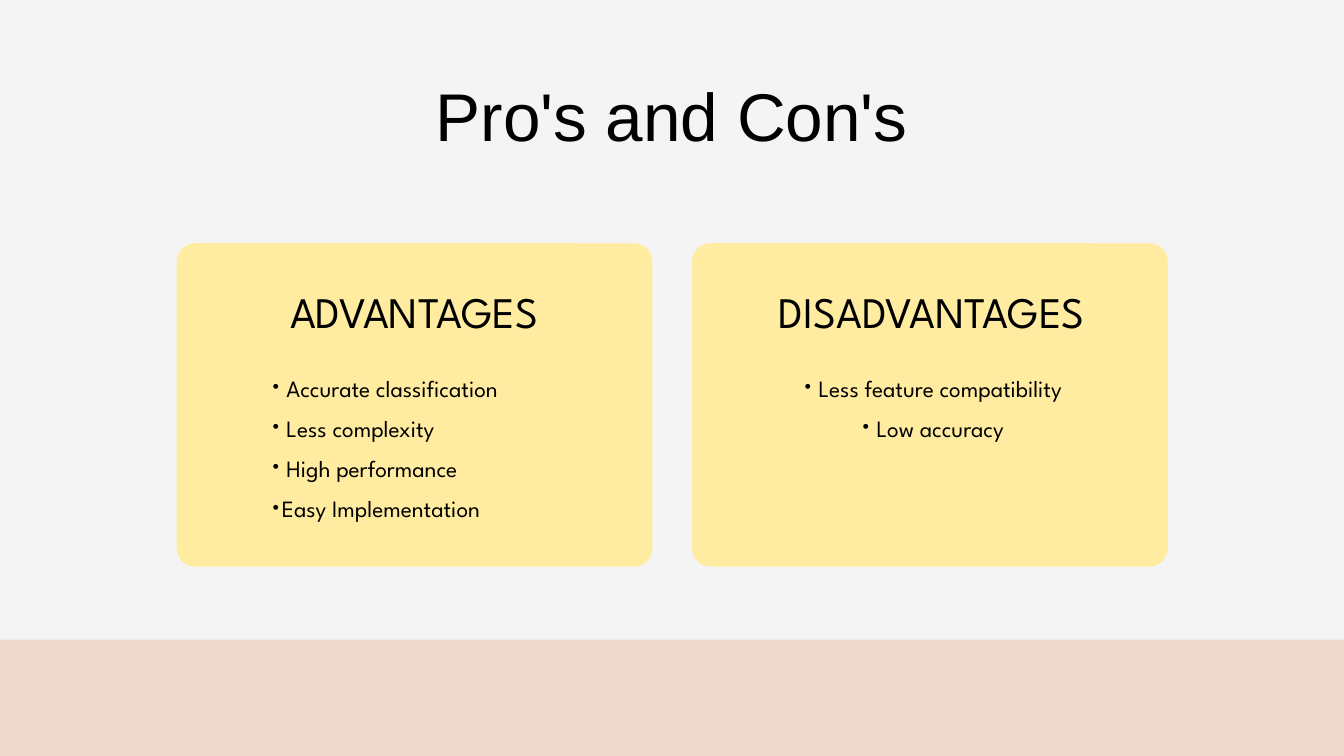
from dataclasses import dataclass

from lxml import etree
from pptx import Presentation
from pptx import util as u
from pptx.dml.color import RGBColor
from pptx.enum import shapes, text
from pptx.oxml import ns

Cm, Pt = u.Cm, u.Pt


@dataclass(frozen=True)
class TextStyle:
    font: str
    size: float
    leading: float


@dataclass(frozen=True)
class Theme:
    background: str = "F4F4F4"
    band: str = "EDD8CD"
    card: str = "FFECA0"
    ink: str = "000000"
    title: TextStyle = TextStyle("Arial", 72.3, 76)
    heading: TextStyle = TextStyle("League Spartan", 46.7, 46.2)
    body: TextStyle = TextStyle("League Spartan", 25, 43.1)


@dataclass(frozen=True)
class Box:
    left: float
    top: float
    width: float
    height: float

    def lengths(self) -> tuple:
        return Cm(self.left), Cm(self.top), Cm(self.width), Cm(self.height)


@dataclass(frozen=True)
class Item:
    words: str
    indent: float = 0.62


@dataclass(frozen=True)
class Card:
    heading: str
    heading_box: Box
    items: tuple
    list_box: Box
    align: text.PP_ALIGN


THEME = Theme()
LEFT, CENTER = text.PP_ALIGN.LEFT, text.PP_ALIGN.CENTER
SLIDE_W, SLIDE_H = 50.8, 28.58
BAND_H = 4.4
CARD_LEFT, CARD_TOP, CARD_W, CARD_H = 6.73, 9.25, 17.88, 12.12
CARD_PITCH = 19.48
CORNER = 0.65
HEADING_TOP, HEADING_H = 11.13, 1.75
LIST_TOP = 13.67

CARDS = (
    Card(
        "ADVANTAGES", Box(9.91, HEADING_TOP, 11.51, HEADING_H),
        (Item("Accurate classification"), Item("Less complexity"),
         Item("High performance"), Item("Easy Implementation", 0.38)),
        Box(10.21, LIST_TOP, 12.14, 7.44), LEFT,
    ),
    Card(
        "DISADVANTAGES", Box(28.3, HEADING_TOP, 13.84, HEADING_H),
        (Item("Less feature compatibility"), Item("Low accuracy")),
        Box(28.52, LIST_TOP, 13.41, 4.44), CENTER,
    ),
)


def rgb(value: str) -> RGBColor:
    return RGBColor.from_string(value)


def add_panel(s, kind, box: Box, color: str):
    sp = s.shapes.add_shape(kind, *box.lengths())
    sp.shadow.inherit = False
    sp.fill.solid()
    sp.fill.fore_color.rgb = rgb(color)
    sp.line.fill.background()
    return sp


def set_bullet(p, indent: float) -> None:
    """Give a paragraph a hanging bullet."""
    pPr = p._p.get_or_add_pPr()
    pPr.set("marL", str(Cm(indent)))
    pPr.set("indent", str(-Cm(indent)))
    font = etree.SubElement(pPr, ns.qn("a:buFont"))
    font.set("typeface", THEME.body.font)
    etree.SubElement(pPr, ns.qn("a:buChar")).set("char", "•")


def add_text(s, box: Box, items: tuple, style: TextStyle,
             align=CENTER, bullets: bool = False) -> None:
    tf = s.shapes.add_textbox(*box.lengths()).text_frame
    frame_format = {
        "margin_left": 0, "margin_top": 0, "margin_right": 0,
        "margin_bottom": 0, "word_wrap": True,
        "auto_size": text.MSO_AUTO_SIZE.SHAPE_TO_FIT_TEXT,
    }
    for name, value in frame_format.items():
        setattr(tf, name, value)
    for i, item in enumerate(items):
        p = tf.add_paragraph() if i else tf.paragraphs[0]
        if bullets:
            set_bullet(p, item.indent)
        p.alignment = align
        p.line_spacing = Pt(style.leading)
        r = p.add_run()
        r.text = item.words
        for name, value in {"name": style.font, "size": Pt(style.size)}.items():
            setattr(r.font, name, value)
        r.font.color.rgb = rgb(THEME.ink)


def add_card(s, index: int, card: Card) -> None:
    box = Box(CARD_LEFT + index * CARD_PITCH, CARD_TOP, CARD_W, CARD_H)
    sp = add_panel(s, shapes.MSO_SHAPE.ROUNDED_RECTANGLE, box, THEME.card)
    sp.adjustments[0] = CORNER / CARD_H
    sp.line.color.rgb = rgb(THEME.card)
    sp.line.width = Pt(3)
    add_text(s, card.heading_box, (Item(card.heading),), THEME.heading)
    add_text(s, card.list_box, card.items, THEME.body, card.align, bullets=True)


def main() -> None:
    prs = Presentation()
    prs.slide_width, prs.slide_height = Cm(SLIDE_W), Cm(SLIDE_H)
    s = prs.slides.add_slide(prs.slide_layouts[6])

    # Background and bottom band
    s.background.fill.solid()
    s.background.fill.fore_color.rgb = rgb(THEME.background)
    add_panel(s, shapes.MSO_SHAPE.RECTANGLE,
              Box(0, SLIDE_H - BAND_H, SLIDE_W, BAND_H), THEME.band)

    # Cards
    for index, card in enumerate(CARDS):
        add_card(s, index, card)

    # Title
    add_text(s, Box(10.21, 3.18, 30.38, 2.74),
             (Item("Pro's and Con's"),), THEME.title)

    prs.save("out.pptx")


if __name__ == "__main__":
    main()
